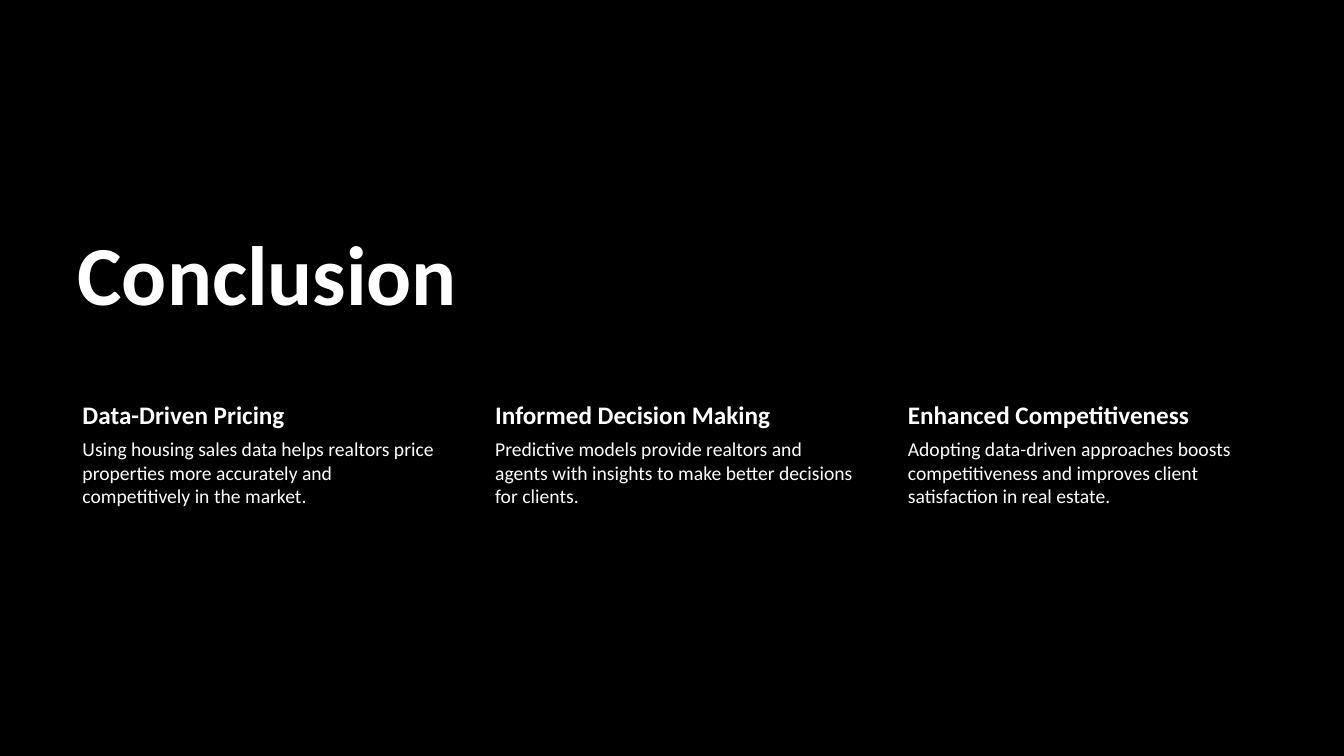
import pptx
import pptx.util
import pptx.dml.color
import pptx.enum.text

Cm = pptx.util.Cm
Pt = pptx.util.Pt

COLORS = {"background": "000000", "text": "FFFFFF"}
FONT = "Calibri"
LEFT = 1.7
COLUMN_STEP = 10.4
COLUMN_WIDTH = 9.45
HEADING_TOP = 9.98
HEADING_HEIGHT = 0.99
DETAIL_HEIGHT = 5.92

TAKEAWAYS = [
    ("Data-Driven Pricing",
     "Using housing sales data helps realtors price properties more accurately "
     "and competitively in the market."),
    ("Informed Decision Making",
     "Predictive models provide realtors and agents with insights to make "
     "better decisions for clients."),
    ("Enhanced Competitiveness",
     "Adopting data-driven approaches boosts competitiveness and improves "
     "client satisfaction in real estate."),
]


def color(name):
    return pptx.dml.color.RGBColor.from_string(COLORS[name])


def write(frame, text, size, bold):
    frame.word_wrap = True
    frame.auto_size = pptx.enum.text.MSO_AUTO_SIZE.NONE
    frame.text = text
    paragraph = frame.paragraphs[0]
    paragraph.alignment = pptx.enum.text.PP_ALIGN.LEFT
    paragraph.font.name = FONT
    paragraph.font.size = Pt(size)
    paragraph.font.bold = bold
    paragraph.font.color.rgb = color("text")
    return paragraph


def add_title(slide, text):
    title = slide.shapes.title
    title.left, title.top = Cm(LEFT), Cm(5.13)
    title.width, title.height = Cm(20.4), Cm(3.15)
    title.text_frame.vertical_anchor = pptx.enum.text.MSO_ANCHOR.BOTTOM
    write(title.text_frame, text, 60, True).line_spacing = 0.9


def add_text(shapes, text, left, top, height, inset, size, bold):
    box = shapes.add_textbox(Cm(left), Cm(top), Cm(COLUMN_WIDTH), Cm(height))
    frame = box.text_frame
    frame.margin_left = Cm(0.38)
    frame.margin_top = frame.margin_right = frame.margin_bottom = Cm(inset)
    write(frame, text, size, bold)


def add_takeaway(shapes, left, heading, detail):
    add_text(shapes, heading, left, HEADING_TOP, HEADING_HEIGHT, 0.08, 18, True)
    add_text(shapes, detail, left, HEADING_TOP + HEADING_HEIGHT,
             DETAIL_HEIGHT, 0.05, 14, False)


def main():
    presentation = pptx.Presentation()
    presentation.slide_width, presentation.slide_height = Cm(33.87), Cm(19.05)
    slide = presentation.slides.add_slide(presentation.slide_layouts[5])
    slide.background.fill.solid()
    slide.background.fill.fore_color.rgb = color("background")

    add_title(slide, "Conclusion")
    takeaways = slide.shapes.add_group_shape()
    for column, (heading, detail) in enumerate(TAKEAWAYS):
        add_takeaway(takeaways.shapes, LEFT + column * COLUMN_STEP, heading, detail)

    presentation.save("out.pptx")


if __name__ == "__main__":
    main()
